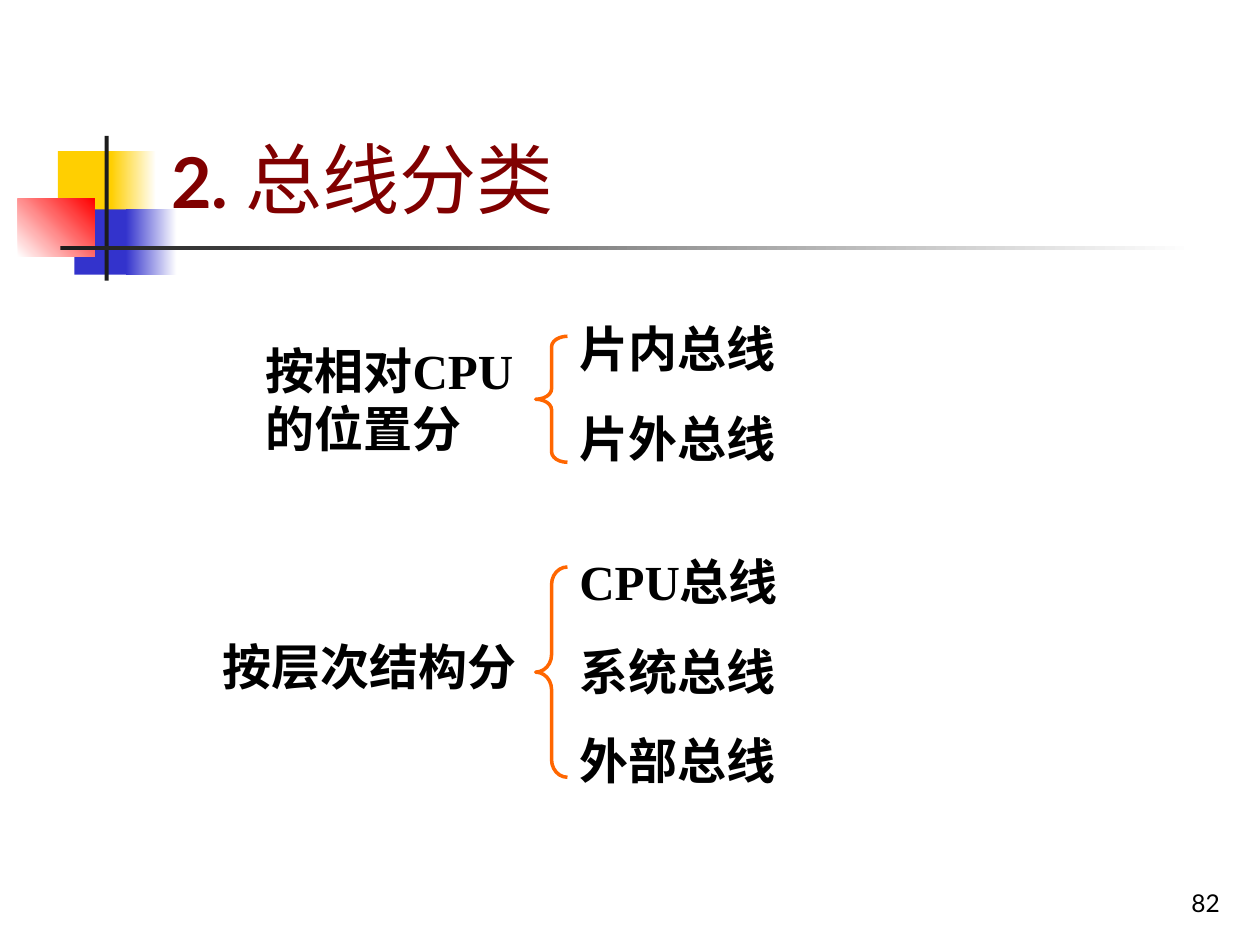
from pptx import Presentation
from pptx.dml.color import RGBColor
from pptx.enum.shapes import MSO_SHAPE
from pptx.enum.text import MSO_ANCHOR, MSO_AUTO_SIZE, PP_ALIGN
from pptx.util import Cm, Pt

BLACK = RGBColor(0x00, 0x00, 0x00)
WHITE = RGBColor(0xFF, 0xFF, 0xFF)
CHARCOAL = RGBColor(0x1C, 0x1C, 0x1C)
YELLOW = RGBColor(0xFF, 0xCF, 0x01)
BLUE = RGBColor(0x33, 0x33, 0xCC)
RED = RGBColor(0xFF, 0x00, 0x00)
MAROON = RGBColor(0x80, 0x00, 0x00)
ORANGE = RGBColor(0xFF, 0x66, 0x00)

deck = Presentation()
deck.slide_width, deck.slide_height = Cm(25.4), Cm(19.05)
page = deck.slides.add_slide(deck.slide_layouts[6])


def add_plain_shape(kind, bounds):
    shape = page.shapes.add_shape(kind, *map(Cm, bounds))
    shape.shadow.inherit = False
    return shape


def add_text(bounds, lines, font_name, size, color, bold=False):
    """Add a wrapping text box with one paragraph per line and return it."""
    box = page.shapes.add_textbox(*map(Cm, bounds))
    frame = box.text_frame
    frame.word_wrap = True
    frame.text = "\n".join(lines)
    for index, para in enumerate(frame.paragraphs):
        if index:
            para.space_before = Pt(17.5)
        para.font.name = font_name
        para.font.size = Pt(size)
        para.font.bold = bold
        para.font.color.rgb = color
    return box


# Corner ornament: (left, top, width, height), colours, gradient angle
ornament = [
    ((1.17, 3.05, 1.22, 1.32), [YELLOW], 0),
    ((2.24, 3.05, 0.91, 1.32), [YELLOW, WHITE], 0),
    ((1.5, 4.22, 1.17, 1.32), [BLUE], 0),
    ((2.54, 4.22, 1.02, 1.32), [BLUE, WHITE], 0),
    ((0.36, 4.01, 1.55, 1.17), [WHITE, RED], 45),
    ((2.11, 2.74, 0.08, 2.92), [CHARCOAL], 0),
    ((1.22, 4.95, 22.86, 0.09), [CHARCOAL, WHITE], 0),
]
for bounds, colors, angle in ornament:
    block = add_plain_shape(MSO_SHAPE.RECTANGLE, bounds)
    block.line.fill.background()
    if len(colors) == 1:
        block.fill.solid()
        block.fill.fore_color.rgb = colors[0]
    else:
        block.fill.gradient()
        block.fill.gradient_angle = angle
        for position, (stop, color) in enumerate(zip(block.fill.gradient_stops, colors)):
            stop.position = position
            stop.color.rgb = color

page_number = add_text((19.56, 17.35, 5.28, 1.27), ["82"], "Lato", 14, BLACK)
page_number.text_frame.vertical_anchor = MSO_ANCHOR.BOTTOM
page_number.text_frame.paragraphs[0].alignment = PP_ALIGN.RIGHT

title = add_text((3.2, 0.58, 21.64, 4.06), ["2. "], "Lato", 44, MAROON)
title.text_frame.vertical_anchor = MSO_ANCHOR.BOTTOM
heading = title.text_frame.paragraphs[0]
heading.runs[0].font.size = Pt(40)
heading.runs[0].font.bold = True
heading.add_run().text = "总线分类"

# Classification labels and the kinds of bus each one covers
labels = [
    ((11.43, 11, 5.28, 5.05), ["CPU总线", "系统总线", "外部总线"]),
    ((11.43, 6.3, 6.15, 3.25), ["片内总线", "片外总线"]),
    ((5.11, 6.73, 5.92, 2.64), ["按相对CPU的位置分"]),
    ((4.24, 12.7, 6.99, 1.45), ["按层次结构分"]),
]
for bounds, lines in labels:
    label = add_text(bounds, lines, "Times New Roman", 28, BLACK, bold=True)
    label.text_frame.auto_size = MSO_AUTO_SIZE.SHAPE_TO_FIT_TEXT

for top, height in [(6.78, 2.54), (11.43, 4.24)]:
    brace = add_plain_shape(MSO_SHAPE.LEFT_BRACE, (10.8, top, 0.64, height))
    brace.adjustments[0] = height / 12 / 0.64
    brace.fill.background()
    brace.line.color.rgb = ORANGE
    brace.line.width = Pt(2)

deck.save("out.pptx")
